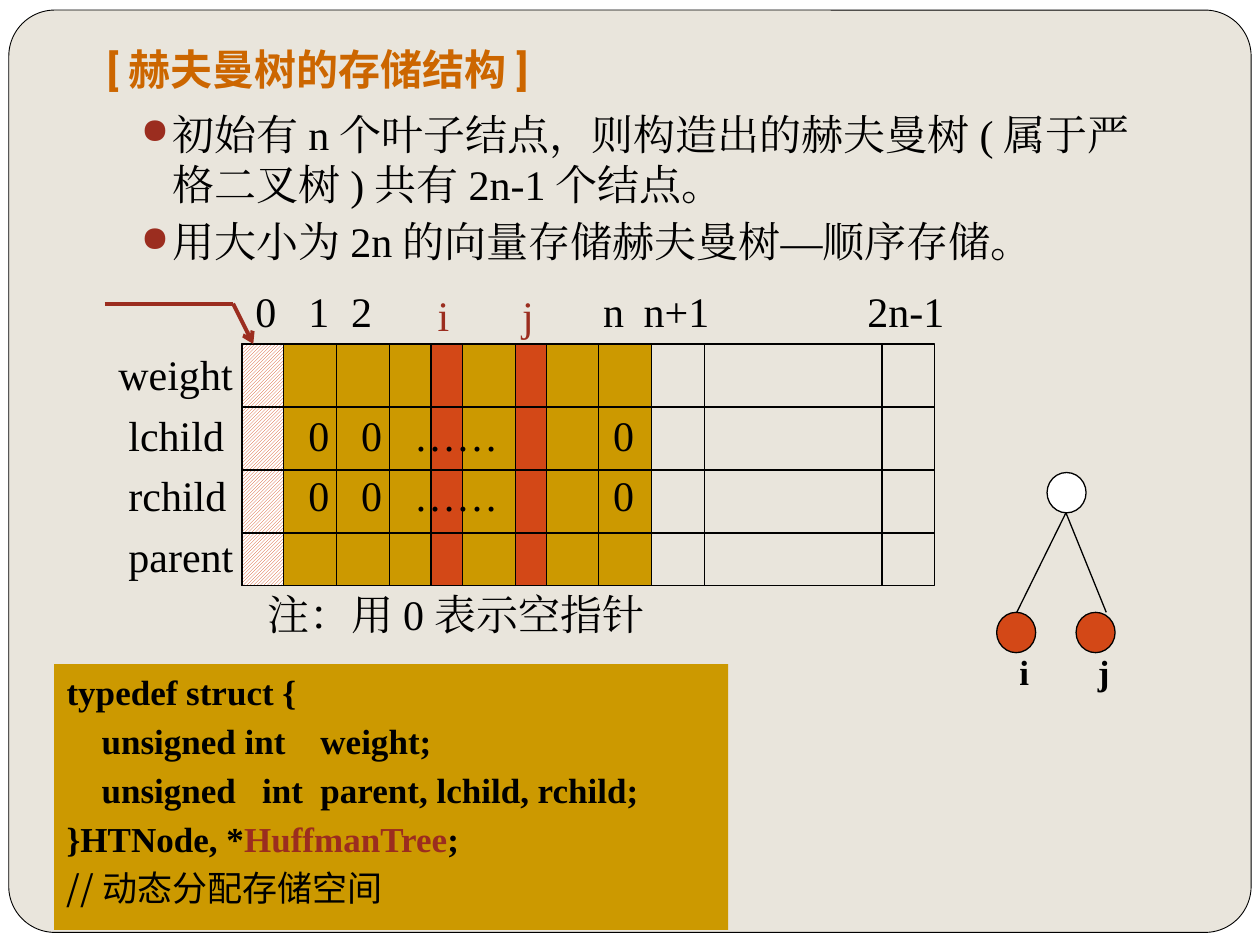
from dataclasses import dataclass

from lxml import etree
from pptx import Presentation
from pptx.dml.color import RGBColor
from pptx.enum.dml import MSO_PATTERN
from pptx.enum.shapes import MSO_CONNECTOR, MSO_SHAPE
from pptx.enum.text import MSO_ANCHOR, PP_ALIGN
from pptx.oxml.ns import qn
from pptx.util import Inches, Pt

RECT, ROUND, OVAL = MSO_SHAPE.RECTANGLE, MSO_SHAPE.ROUNDED_RECTANGLE, MSO_SHAPE.OVAL
STRAIGHT = MSO_CONNECTOR.STRAIGHT
LEFT, CENTER = PP_ALIGN.LEFT, PP_ALIGN.CENTER
TOP, MIDDLE = MSO_ANCHOR.TOP, MSO_ANCHOR.MIDDLE
HATCH = MSO_PATTERN.LIGHT_UPWARD_DIAGONAL


@dataclass(frozen=True)
class Theme:
    paper: str = "E9E5DC"
    white: str = "FFFFFF"
    ink: str = "000000"
    heading: str = "CC6600"
    gold: str = "CC9900"
    orange: str = "D34817"
    red: str = "9B2D1F"
    serif: str = "Times New Roman"
    sans: str = "Roboto"
    cjk: str = "Noto Sans CJK SC"
    large: int = 24
    small: int = 20
    thin: float = 0.75
    thick: float = 2.25


THEME = Theme()

VECTOR_LEFT, VECTOR_TOP, VECTOR_WIDTH, VECTOR_HEIGHT = 1.92, 2.73, 5.5, 1.92
ROW_PITCH = 0.5
LABEL_TOP, LABEL_PITCH = 2.97, 0.48
COLUMN_LINES = (2.67, 3.09, 4.75, 5.17, 5.59, 7)
SELECTED_COLUMNS = (3.42, 4.09)
INDEX_LABELS = (("0", 2.11), ("1", 2.53), ("2", 2.87), ("n", 4.87),
                ("n+1", 5.37), ("2n-1", 7.19))
FIELD_LABELS = (("weight", 0.94), ("lchild", 1.02), ("rchild", 1.02), ("parent", 1.02))
NULL_POINTERS = (("0", 2.53), ("0", 2.95), ("……", 3.62), ("0", 4.95))
BULLETS = ("初始有n个叶子结点，则构造出的赫夫曼树(属于严格二叉树)共有2n-1个结点。",
           "用大小为2n的向量存储赫夫曼树—顺序存储。")
CODE = ("typedef struct {",
        "    unsigned int    weight;",
        "    unsigned   int  parent, lchild, rchild;",
        "}HTNode, *")


def rgb(color):
    return RGBColor.from_string(color)


def style_run(run, size, color=THEME.ink, font=THEME.serif, bold=False):
    """Format a run, with one typeface for Latin and East Asian text."""
    run.font.size = Pt(size)
    run.font.name = font
    run.font.bold = bold
    run.font.color.rgb = rgb(color)
    east_asian = etree.Element(qn("a:ea"), typeface=font)
    run.font._element.find(qn("a:latin")).addnext(east_asian)


def add_box(slide, kind, left, top, width, height, fill=None, line=THEME.ink, weight=THEME.thin):
    box = slide.shapes.add_shape(kind, Inches(left), Inches(top), Inches(width), Inches(height))
    box.shadow.inherit = False
    if fill:
        box.fill.solid()
        box.fill.fore_color.rgb = rgb(fill)
    else:
        box.fill.background()
    if line:
        box.line.color.rgb = rgb(line)
        box.line.width = Pt(weight)
    else:
        box.line.fill.background()
    return box


def add_line(slide, start, end, color=THEME.ink, weight=THEME.thin):
    line = slide.shapes.add_connector(STRAIGHT, *(Inches(v) for v in (*start, *end)))
    line.line.color.rgb = rgb(color)
    line.line.width = Pt(weight)
    etree.SubElement(line._element.spPr, qn("a:effectLst"))
    return line


def add_text_box(slide, left, top, width, height, anchor=TOP):
    box = slide.shapes.add_textbox(Inches(left), Inches(top), Inches(width), Inches(height))
    box.text_frame.word_wrap = True
    box.text_frame.vertical_anchor = anchor
    return box.text_frame


def add_label(slide, text, x, middle, width=1, align=CENTER, size=THEME.large, **style):
    """Place one line of text; x is its centre, or its left edge when left-aligned."""
    height = 0.4
    left = x - width / 2 if align == CENTER else x
    frame = add_text_box(slide, left, middle - height / 2, width, height, MIDDLE)
    frame.margin_left = frame.margin_right = frame.margin_top = frame.margin_bottom = 0
    frame.text = text
    frame.paragraphs[0].alignment = align
    style_run(frame.paragraphs[0].runs[0], size, **style)


def add_bullet(paragraph):
    properties = paragraph._p.get_or_add_pPr()
    properties.set("marL", str(Inches(0.6)))
    properties.set("indent", str(-Inches(0.25)))
    color = etree.SubElement(properties, qn("a:buClr"))
    etree.SubElement(color, qn("a:srgbClr"), val=THEME.red)
    etree.SubElement(properties, qn("a:buSzPct"), val="85000")
    etree.SubElement(properties, qn("a:buChar"), char="●")


def add_heading_and_bullets(slide):
    heading = add_text_box(slide, 0.75, 0.21, 8.5, 0.67, MIDDLE)
    heading.text = "[赫夫曼树的存储结构]"
    style_run(heading.paragraphs[0].runs[0], THEME.large, THEME.heading, THEME.sans, True)

    body = add_text_box(slide, 0.67, 0.81, 8.5, 1.4)
    body.text = "\n".join(BULLETS)
    for number, paragraph in enumerate(body.paragraphs):
        add_bullet(paragraph)
        if number:
            paragraph.space_before = Pt(3.7)
        style_run(paragraph.runs[0], THEME.large)


def add_vector(slide):
    """Draw the node array with its cells, indexes and field names."""
    bottom, right = VECTOR_TOP + VECTOR_HEIGHT, VECTOR_LEFT + VECTOR_WIDTH
    unused = add_box(slide, RECT, VECTOR_LEFT, VECTOR_TOP, 0.33, VECTOR_HEIGHT)
    unused.fill.patterned()
    unused.fill.pattern = HATCH
    unused.fill.fore_color.rgb = rgb(THEME.orange)
    unused.fill.back_color.rgb = rgb(THEME.white)
    add_box(slide, RECT, 2.25, VECTOR_TOP, 2.92, VECTOR_HEIGHT, THEME.gold)
    for left in SELECTED_COLUMNS:
        add_box(slide, RECT, left, VECTOR_TOP, 0.25, VECTOR_HEIGHT, THEME.orange)
    add_box(slide, RECT, VECTOR_LEFT, VECTOR_TOP, VECTOR_WIDTH, VECTOR_HEIGHT)
    for row in range(1, len(FIELD_LABELS)):
        y = VECTOR_TOP + row * ROW_PITCH
        add_line(slide, (VECTOR_LEFT, y), (right, y))
    for x in COLUMN_LINES:
        add_line(slide, (x, VECTOR_TOP), (x, bottom))

    for text, x in INDEX_LABELS:
        add_label(slide, text, x, 2.47)
    for text, left in zip("ij", SELECTED_COLUMNS):
        add_label(slide, text, left + 0.1, 2.5, color=THEME.red)
    for row, (text, left) in enumerate(FIELD_LABELS):
        middle = LABEL_TOP + row * LABEL_PITCH
        add_label(slide, text, left, middle, align=LEFT)
        if "child" in text:
            for value, x in NULL_POINTERS:
                add_label(slide, value, x, middle)
    add_label(slide, "注：用0表示空指针", 2.12, 4.87, 3.5, LEFT)


def add_unused_cell_pointer(slide):
    bend = (1.85, 2.41)
    add_line(slide, (0.83, 2.41), bend, THEME.red, THEME.thick)
    arrow = add_line(slide, bend, (2.01, VECTOR_TOP), THEME.red, THEME.thick)
    etree.SubElement(arrow.line._get_or_add_ln(), qn("a:tailEnd"), type="arrow")


def add_code(slide):
    frame = add_box(slide, RECT, 0.43, 5.27, 5.35, 2.11, THEME.gold, None).text_frame
    frame.word_wrap = True
    frame.vertical_anchor = TOP
    frame.text = "\n".join((*CODE, "//动态分配存储空间"))
    *declaration, comment = frame.paragraphs
    for text, color in (("HuffmanTree", THEME.red), (";", THEME.ink)):
        run = declaration[-1].add_run()
        run.text = text
        style_run(run, THEME.small, color, bold=True)
    for number, paragraph in enumerate(frame.paragraphs):
        paragraph.alignment = LEFT
        if number:
            paragraph.space_before = Pt(4)
    for paragraph in declaration:
        style_run(paragraph.runs[0], THEME.small, bold=True)
    style_run(comment.runs[0], THEME.small, font=THEME.cjk)


def add_tree(slide):
    """Draw the parent node that joins the nodes i and j."""
    width, height = 0.31, 0.32
    parent_bottom = (8.46, 4.07)
    add_box(slide, OVAL, 8.31, 3.75, width, height, THEME.white)
    for name, left, branch_end in (("i", 7.91, 8.07), ("j", 8.54, 8.78)):
        add_box(slide, OVAL, left, 4.86, width, height, THEME.orange)
        add_line(slide, parent_bottom, (branch_end, 4.86))
        add_label(slide, name, left + 0.22, 5.33, 0.5, size=THEME.small, bold=True)


def main():
    presentation = Presentation()
    presentation.slide_width, presentation.slide_height = Inches(10), Inches(7.5)
    slide = presentation.slides.add_slide(presentation.slide_layouts[6])
    slide.background.fill.solid()
    slide.background.fill.fore_color.rgb = rgb(THEME.white)
    panel = add_box(slide, ROUND, 0.07, 0.08, 9.86, 7.32, THEME.paper, weight=0.5)
    panel.adjustments[0] = 0.05
    add_heading_and_bullets(slide)
    add_vector(slide)
    add_code(slide)
    add_tree(slide)
    add_unused_cell_pointer(slide)
    presentation.save("out.pptx")


if __name__ == "__main__":
    main()
